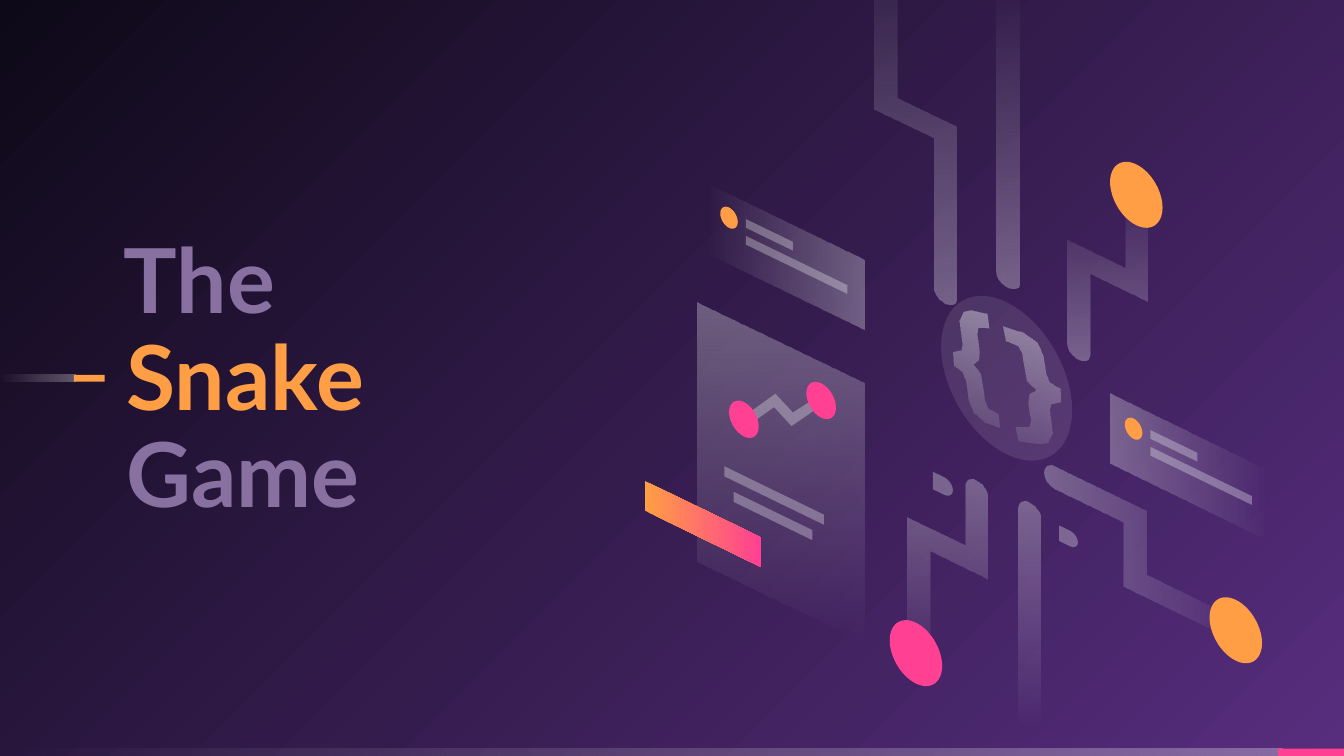
from math import cos, pi, sin

from pptx import Presentation
from pptx.dml.color import RGBColor
from pptx.enum.shapes import MSO_SHAPE
from pptx.enum.text import MSO_ANCHOR
from pptx.oxml import parse_xml
from pptx.oxml.ns import nsdecls
from pptx.util import Pt

RECT = MSO_SHAPE.RECTANGLE
MIDDLE = MSO_ANCHOR.MIDDLE

# ---- Content: the drawing grid has 1000 units across the slide, 0.72 pt each
UNIT = 0.72
SLIDE_W, SLIDE_H = 1000, 562.5
SLOPE = 0.486   # drop per unit of width on the slanted plane
ASPECT = 1.16   # height to width of a slanted disc
PIPE_R = 8.5    # half the width of a pipe

C = {"white": "FFFFFF", "pink": "FF4093", "orange": "FF9E44",
     "mauve": "8870A0", "violet": "572D7E", "night": "0E0918"}
TITLE = [(" The", "mauve"), (" Snake", "orange"), (" Game", "mauve")]
TITLE_BOX = (78, 152, 559, 264)
TITLE_FONT = {"name": "Lato", "size": Pt(48), "bold": True}

# Fills: stops of (colour, opacity %), then the angle of a gradient
FADE = [("white", 30), ("white", 0)]
FILLS = {
    "right": (FADE, 0), "down": (FADE, 90), "left": (FADE, 180), "up": (FADE, 270),
    "sunset": ([("orange", 100), ("pink", 100)], 0),
    "brace": ([("white", 40), ("white", 9)], 110),
    "veil": (FADE[:1], 0), "halo": ([("white", 10)], 0),
    "pink": ([("pink", 100)], 0), "orange": ([("orange", 100)], 0),
}

# x, y, width, height, fill
BARS = [(0, 557, 954, 5.5, "left"), (951, 557, 49, 5.5, "pink")]
MARKER = [(0, 279, 56, 5, "left"), (55, 279, 23, 5, "orange")]

# Fill, start, then moves that are vertical and slanted in turn
PIPES = [
    ("up", 659.5, -54.5, [131.5, 44, 119]),
    ("down", 683.5, 497.5, [-100, 43, -52]),
    ("up", 750, -4.5, [210]),
    ("up", 845.5, 140.5, [71, -43, 68]),
    ("right", 786, 356, [0, 58.5, 47.5, 76]),
    ("down", 766, 534.5, [-152]),
]
CHART_LINE = [(608, 304), (589, 317), (576, 303), (559, 315), (552, 311),
              (577, 293), (590, 307), (604, 298)]
STUBS = [(788, 391, 14, 11.5), (694, 351, 15, 13)]
BRACE = [(710, 261), (716, 260), (717, 256), (716, 238), (719, 232), (725, 231),
         (736, 234), (737, 245), (729, 244), (728, 249), (729, 262), (728, 268),
         (724, 271), (729, 278), (731, 298), (733, 304), (740, 308), (741, 319),
         (730, 314), (722, 306), (719, 296), (718, 282), (716, 276), (710, 271)]
# The right brace is the left one turned round and widened
RIGHT_BRACE = [(788 - 1.25 * (x - 710), 561 - y) for x, y in BRACE]


# ---- Geometry
def u(v):
    return Pt(v * UNIT)


def slant(pts, x0):
    return [(x, y + SLOPE * (x - x0)) for x, y in pts]


def disc(cx, cy, r):
    turns = [2 * pi * i / 60 for i in range(60)]
    return slant([(cx + r * cos(t), cy + r * ASPECT * sin(t)) for t in turns], cx)


def slab(x, y, w, h):
    return slant([(x, y), (x + w, y), (x + w, y + h), (x, y + h)], x)


def stub(x, y, w, h):
    r = h / 2
    turns = [pi * (i / 12 - 0.5) for i in range(13)]
    cap = [(x + w - r + r * cos(t), y + r + r * sin(t)) for t in turns]
    return slant([(x, y)] + cap + [(x, y + h)], x)


def pipe_side(path):
    """One side of a right-angled path, then the round cap at its end."""
    dirs = [((bx > ax) - (bx < ax), (by > ay) - (by < ay))
            for (ax, ay), (bx, by) in zip(path, path[1:])]
    pts = [(x + PIPE_R * (ay + by), y - PIPE_R * (ax + bx))
           for (x, y), (ax, ay), (bx, by) in zip(path[1:], dirs, dirs[1:])]
    (x, y), (dx, dy) = path[-1], dirs[-1]
    for i in range(13):
        c, k = PIPE_R * cos(pi * i / 12), PIPE_R * sin(pi * i / 12)
        pts.append((x + c * dy + k * dx, y - c * dx + k * dy))
    return pts


def pipe(x0, y0, moves):
    path = [(x0, y0)]
    for i, move in enumerate(moves):
        x, y = path[-1]
        if move:
            path.append((x + move, y) if i % 2 else (x, y + move))
    return slant(pipe_side(path) + pipe_side(path[::-1]), x0)


# ---- Drawing
def set_fill(fill, props, stops, shade):
    """Fill the shape or background whose properties element is props."""
    fill.solid()
    colors = [f'<a:srgbClr val="{C[c]}"><a:alpha val="{a * 1000}"/></a:srgbClr>'
              for c, a in stops]
    if len(stops) == 1:
        xml = f'<a:solidFill {nsdecls("a")}>{colors[0]}</a:solidFill>'
    else:
        gs = "".join(f'<a:gs pos="{i * 100000}">{c}</a:gs>' for i, c in enumerate(colors))
        xml = f'<a:gradFill {nsdecls("a")}><a:gsLst>{gs}</a:gsLst>{shade}</a:gradFill>'
    props.replace(props.xpath("a:solidFill")[0], parse_xml(xml))


def paint(sp, name):
    stops, angle = FILLS[name]
    set_fill(sp.fill, sp.element.spPr, stops, f'<a:lin ang="{angle * 60000}" scaled="0"/>')
    sp.line.fill.background()
    sp.shadow.inherit = False
    return sp


def add_bar(x, y, w, h, name):
    return paint(s.shapes.add_shape(RECT, u(x), u(y), u(w), u(h)), name)


def add_outline(name, outline):
    pts = [(u(x), u(y)) for x, y in outline]
    fb = s.shapes.build_freeform(*pts[0])
    fb.add_line_segments(pts[1:], close=True)
    return paint(fb.convert_to_shape(), name)


prs = Presentation()
prs.slide_width, prs.slide_height = u(SLIDE_W), u(SLIDE_H)
s = prs.slides.add_slide(prs.slide_layouts[6])

# Background glow from the bottom right corner
set_fill(s.background.fill, s.element.xpath(".//p:bgPr")[0],
         [("violet", 100), ("night", 100)],
         '<a:path path="circle"><a:fillToRect l="100000" t="100000"/></a:path>')

# Footer bars and title marker
for bar in BARS:
    add_bar(*bar)
s.shapes.add_group_shape([add_bar(*bar) for bar in MARKER])

# Circuit illustration, back to front
art = [(fade, pipe(x, y, moves)) for fade, x, y, moves in PIPES]
art += [
    ("pink", disc(681.5, 486, 19.5)),
    ("orange", disc(845.5, 145, 19.5)),
    ("orange", disc(919.5, 469, 19.5)),
    ("down", slab(519, 225, 124, 193)),
    ("veil", slab(539, 347, 74, 7.5)),
    ("veil", slab(546, 366, 58.5, 7.5)),
    ("sunset", slab(480, 358, 86.5, 22)),
    ("veil", CHART_LINE),
    ("pink", disc(611, 298, 11)),
    ("pink", disc(553.5, 312, 11)),
]
for x, y, fade in [(826, 293, "right"), (525, 136, "left")]:
    art += [(fade, slab(x, y, 118, 52)),
            ("veil", slab(x + 30, y + 27, 35, 6.5)),
            ("veil", slab(x + 30, y + 39.5, 75.5, 6.5)),
            ("orange", disc(x + 17.5, y + 26, 6.5))]
art.append(("halo", disc(749, 281.5, 48.75)))
art += [("veil", stub(*box)) for box in STUBS]
s.shapes.add_group_shape([add_outline(*part) for part in art])

# Title
tf = s.shapes.add_textbox(*map(u, TITLE_BOX)).text_frame
for key, value in {"word_wrap": True, "vertical_anchor": MIDDLE, "margin_left": 0,
                   "margin_right": 0, "margin_top": 0, "margin_bottom": 0}.items():
    setattr(tf, key, value)
p = tf.paragraphs[0]
p.line_spacing = 0.9
for i, (text, color) in enumerate(TITLE):
    if i:
        p.add_line_break()
    r = p.add_run()
    r.text = text
    for key, value in TITLE_FONT.items():
        setattr(r.font, key, value)
    r.font.color.rgb = RGBColor.from_string(C[color])

# Braces in the halo
for brace in (BRACE, RIGHT_BRACE):
    add_outline("brace", brace).rotation = 356.8

prs.save("out.pptx")
